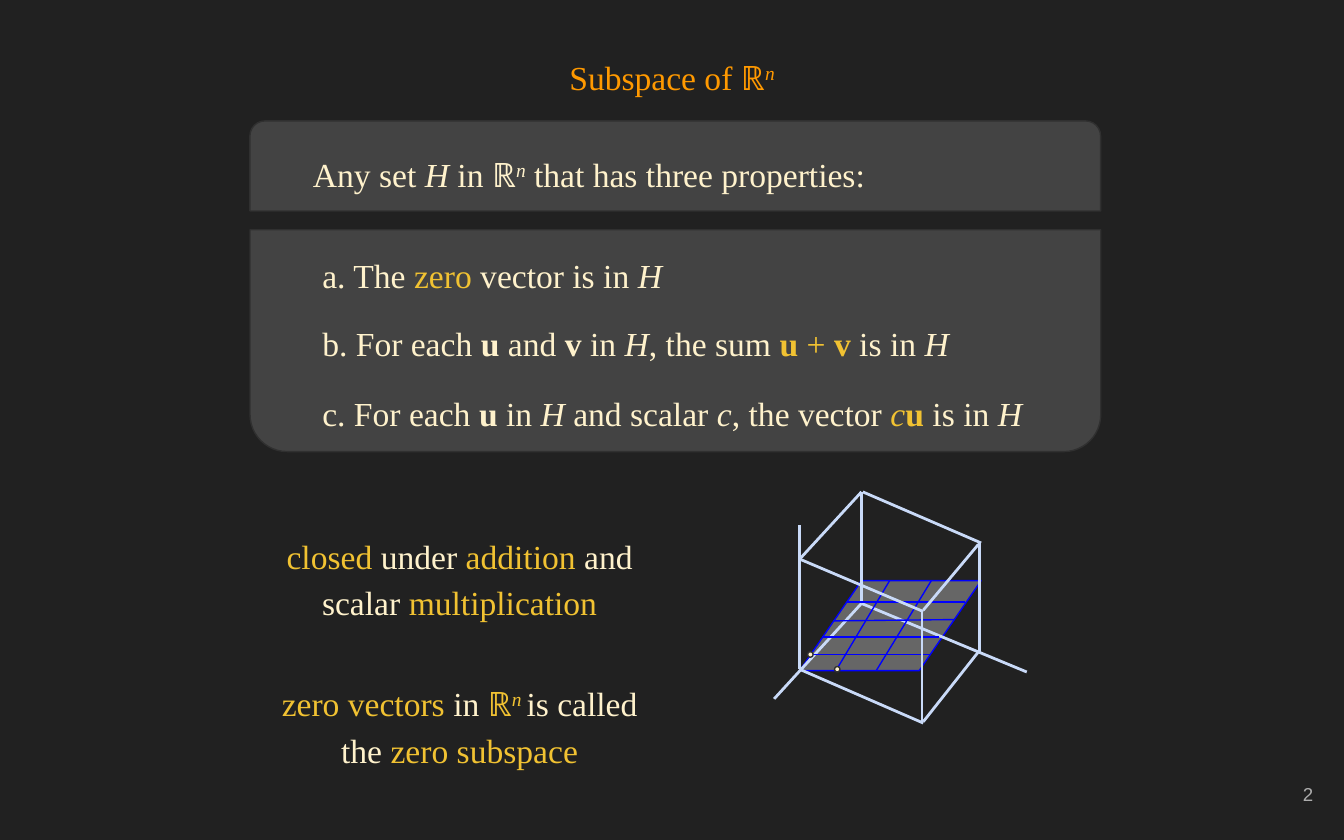
import pptx
import pptx.util
import pptx.dml.color
import pptx.enum.shapes
import pptx.enum.text
import pptx.oxml.ns
import lxml.etree

PX = 9144  # EMU per px, 100 px to the inch
COLOURS = {
    "back": "212121", "panel": "434343", "edge": "303030", "title": "FF9900",
    "cream": "FFF2CC", "gold": "F1C232", "grey": "ADADAD",
    "plane": "666666", "grid": "0000FF", "cube": "C9DAF8",
}
SHAPES = pptx.enum.shapes.MSO_SHAPE
ALIGN = pptx.enum.text.PP_ALIGN
ANCHOR = pptx.enum.text.MSO_ANCHOR

# Line ends: x1, y1, x2, y2
CUBE_BACK = [
    (641, 449, 576, 520), (641, 449, 764, 500), (595, 498, 595, 391),
    (595, 498, 687, 538), (687, 537, 728, 485), (641, 449, 641, 366),
    (595, 416, 641, 366), (729, 486, 729, 403), (642, 366, 730, 404),
]
PLANE_GRID = [
    (622, 499, 662, 432), (652, 499, 693, 432), (605, 487, 693, 487),
    (612, 474, 699, 474), (620, 462, 710, 461), (630, 448, 718, 448),
]
CUBE_FRONT = [(595, 416, 687, 455), (686, 538, 686, 455), (687, 454, 728, 405)]

# Spans: text, then style marks (i italic, b bold, ^ superscript, g gold)
PROPERTIES = [
    (175, [("a. The ", ""), ("zero ", "g"), ("vector is in ", ""), ("H", "i")]),
    (226, [("b. For each ", ""), ("u", "b"), (" and ", ""), ("v", "b"), (" in ", ""),
           ("H", "i"), (", the sum ", ""), ("u", "bg"), (" + ", "g"), ("v", "bg"),
           (" is in ", ""), ("H", "i")]),
    (278, [("c. For each ", ""), ("u", "b"), (" in ", ""), ("H", "i"),
           (" and scalar ", ""), ("c", "i"), (", the vector ", ""), ("c", "ig"),
           ("u", "bg"), (" is in ", ""), ("H", "i")]),
]
REMARKS = [
    (384, [("closed", "g"), (" under ", ""), ("addition ", "g"), ("and scalar ", ""),
           ("multiplication", "g")]),
    (494, [("zero vectors ", "g"), ("in", ""), (" ℝ", "g"), ("n ", "i^g"),
           ("is called the ", ""), ("zero subspace", "g")]),
]


def px(*values):
    return [pptx.util.Emu(value * PX) for value in values]


def rgb(name):
    return pptx.dml.color.RGBColor.from_string(COLOURS[name])


def add_text(page, place, spans, colour="cream", size=18, font="Times New Roman",
             align=ALIGN.LEFT, anchor=ANCHOR.TOP, spacing=1.15, after=16):
    frame = page.shapes.add_textbox(*px(*place)).text_frame
    frame.word_wrap = True
    frame.vertical_anchor = anchor
    (frame.margin_left, frame.margin_top,
     frame.margin_right, frame.margin_bottom) = px(10, 10, 10, 10)
    para = frame.paragraphs[0]
    para.alignment = align
    para.line_spacing = spacing
    para.space_after = pptx.util.Pt(after)
    for text, marks in spans:
        span = para.add_run()
        span.text = text
        span.font.name = font
        span.font.size = pptx.util.Pt(size)
        span.font.italic = "i" in marks
        span.font.bold = "b" in marks
        span.font.color.rgb = rgb("gold" if "g" in marks else colour)
        if "^" in marks:
            span.font._element.set("baseline", "30000")


def add_shape(page, kind, place, fill, line="edge", adjust=(), rotation=0):
    shape = page.shapes.add_shape(kind, *px(*place))
    shape.shadow.inherit = False
    shape.fill.solid()
    shape.fill.fore_color.rgb = rgb(fill)
    shape.line.color.rgb = rgb(line)
    shape.line.width = pptx.util.Pt(0.75)
    shape.rotation = rotation
    for index, value in enumerate(adjust):
        shape.adjustments[index] = value


def add_lines(page, ends, colour, width):
    for points in ends:
        line = page.shapes.add_connector(
            pptx.enum.shapes.MSO_CONNECTOR.STRAIGHT, *px(*points))
        line.line.color.rgb = rgb(colour)
        line.line.width = pptx.util.Pt(width)
        lxml.etree.SubElement(line._element.spPr, pptx.oxml.ns.qn("a:effectLst"))


def add_cube(page):
    add_shape(page, SHAPES.PARALLELOGRAM, (595, 432, 135, 67), "plane", "grid", [0.687])
    add_lines(page, CUBE_BACK, "cube", 1.5)
    add_lines(page, PLANE_GRID, "grid", 0.75)
    add_lines(page, CUBE_FRONT, "cube", 1.5)
    for left, top in [(621, 496), (601, 485)]:
        add_shape(page, SHAPES.OVAL, (left, top, 4, 4), "cream")


def main():
    deck = pptx.Presentation()
    deck.slide_width, deck.slide_height = px(1000, 625)
    page = deck.slides.add_slide(deck.slide_layouts[6])
    page.background.fill.solid()
    page.background.fill.fore_color.rgb = rgb("back")

    # Page number and title
    add_text(page, (927, 567, 60, 48), [("2", "")], colour="grey", size=10, font="Arial",
             align=ALIGN.RIGHT, anchor=ANCHOR.MIDDLE, spacing=1.0, after=0)
    add_text(page, (34, 28, 932, 48), [("Subspace of ℝ", ""), ("n", "i^")],
             colour="title", align=ALIGN.CENTER)

    # Definition panels
    for top, height, rotation in [(90, 67, 0), (171, 165, 180)]:
        add_shape(page, SHAPES.ROUND_2_SAME_RECTANGLE, (186, top, 633, height), "panel",
                  adjust=[0.167, 0], rotation=rotation)
    add_text(page, (223, 100, 554, 48),
             [("Any set ", ""), ("H", "i"), (" in ℝ", ""), ("n", "i^"),
              (" that has three properties:", "")])
    for top, spans in PROPERTIES:
        add_text(page, (230, top, 554, 48), spans)

    # Plane through the origin of a cube
    add_cube(page)

    # Remarks
    for top, spans in REMARKS:
        add_text(page, (186, top, 312, 84), spans, align=ALIGN.CENTER)

    deck.save("out.pptx")


if __name__ == "__main__":
    main()
